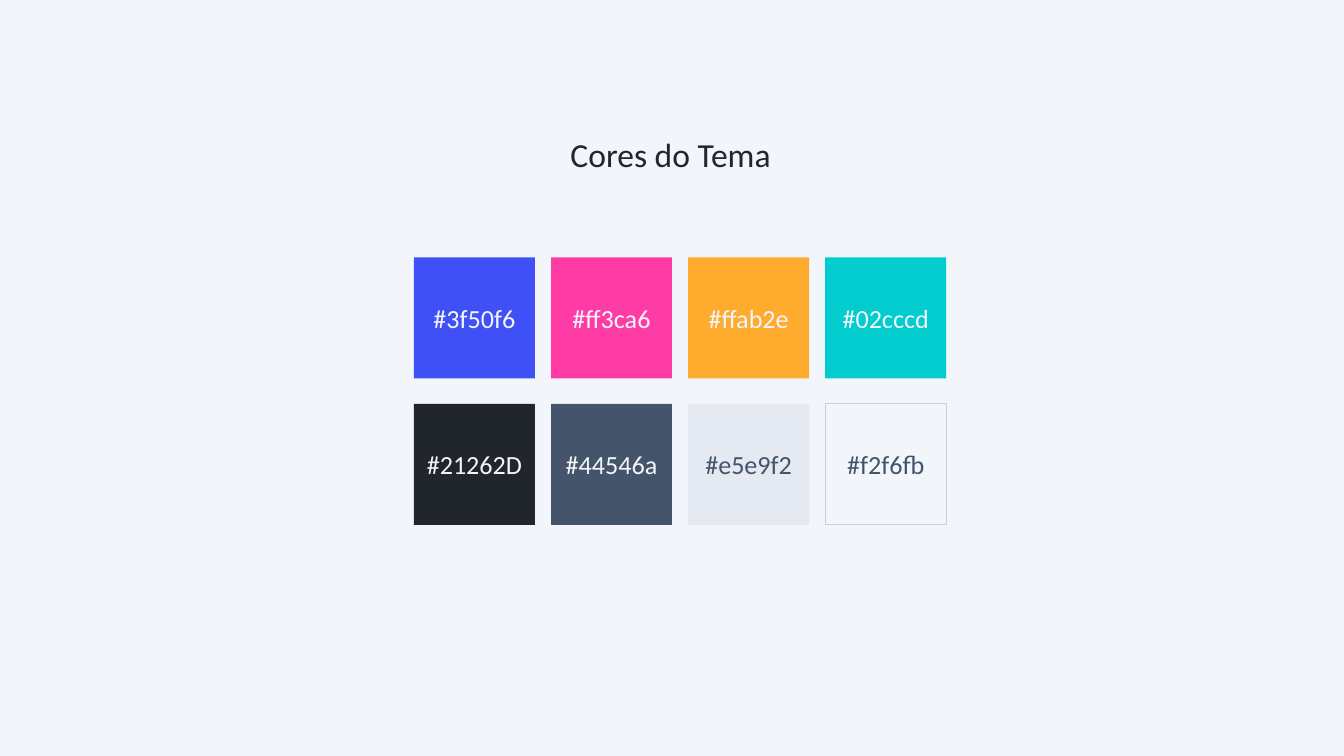
from dataclasses import dataclass

from pptx import Presentation
from pptx.dml.color import RGBColor
from pptx.enum.shapes import MSO_SHAPE
from pptx.enum.text import MSO_ANCHOR, MSO_AUTO_SIZE, PP_ALIGN
from pptx.util import Inches, Pt


@dataclass(frozen=True)
class Theme:
    font: str = "Calibri"
    title_size: int = 36
    label_size: int = 28
    ink: str = "21262D"
    slate: str = "44546A"
    paper: str = "F2F6FB"
    border: str = "C6CEE2"


THEME = Theme()

SWATCHES = [
    [("#3f50f6", THEME.paper), ("#ff3ca6", THEME.paper),
     ("#ffab2e", THEME.paper), ("#02cccd", THEME.paper)],
    [("#21262D", THEME.paper), ("#44546a", THEME.paper),
     ("#e5e9f2", THEME.slate), ("#f2f6fb", THEME.slate)],
]
GRID_LEFT, GRID_TOP = 6.16, 3.83
COLUMN_STEP, ROW_STEP = 2.04, 2.18
SWATCH_SIZE = 1.8


def rgb(value):
    return RGBColor.from_string(value.lstrip("#").upper())


def add_run(p, text, size, color):
    r = p.add_run()
    r.text = text
    r.font.name = THEME.font
    r.font.size = Pt(size)
    r.font.color.rgb = rgb(color)


def add_title(s, text):
    box = s.shapes.add_textbox(Inches(8.39), Inches(1.95), Inches(3.21), Inches(0.71))
    tf = box.text_frame
    tf.word_wrap = False
    tf.auto_size = MSO_AUTO_SIZE.SHAPE_TO_FIT_TEXT
    add_run(tf.paragraphs[0], text, THEME.title_size, THEME.ink)


def add_swatch(s, left, top, label, text_color):
    size = Inches(SWATCH_SIZE)
    sp = s.shapes.add_shape(MSO_SHAPE.RECTANGLE, Inches(left), Inches(top), size, size)
    sp.shadow.inherit = False
    sp.fill.solid()
    sp.fill.fore_color.rgb = rgb(label)
    if rgb(label) == rgb(THEME.paper):
        sp.line.color.rgb = rgb(THEME.border)
        sp.line.width = Pt(1)
    else:
        sp.line.fill.background()
    tf = sp.text_frame
    tf.vertical_anchor = MSO_ANCHOR.MIDDLE
    p = tf.paragraphs[0]
    p.alignment = PP_ALIGN.CENTER
    add_run(p, label, THEME.label_size, text_color)


def main():
    prs = Presentation()
    prs.slide_width, prs.slide_height = Inches(20), Inches(11.25)
    s = prs.slides.add_slide(prs.slide_layouts[6])
    s.background.fill.solid()
    s.background.fill.fore_color.rgb = rgb(THEME.paper)

    add_title(s, "Cores do Tema")
    for row, swatches in enumerate(SWATCHES):
        for column, (label, text_color) in enumerate(swatches):
            add_swatch(s, GRID_LEFT + column * COLUMN_STEP,
                       GRID_TOP + row * ROW_STEP, label, text_color)

    prs.save("out.pptx")


if __name__ == "__main__":
    main()
